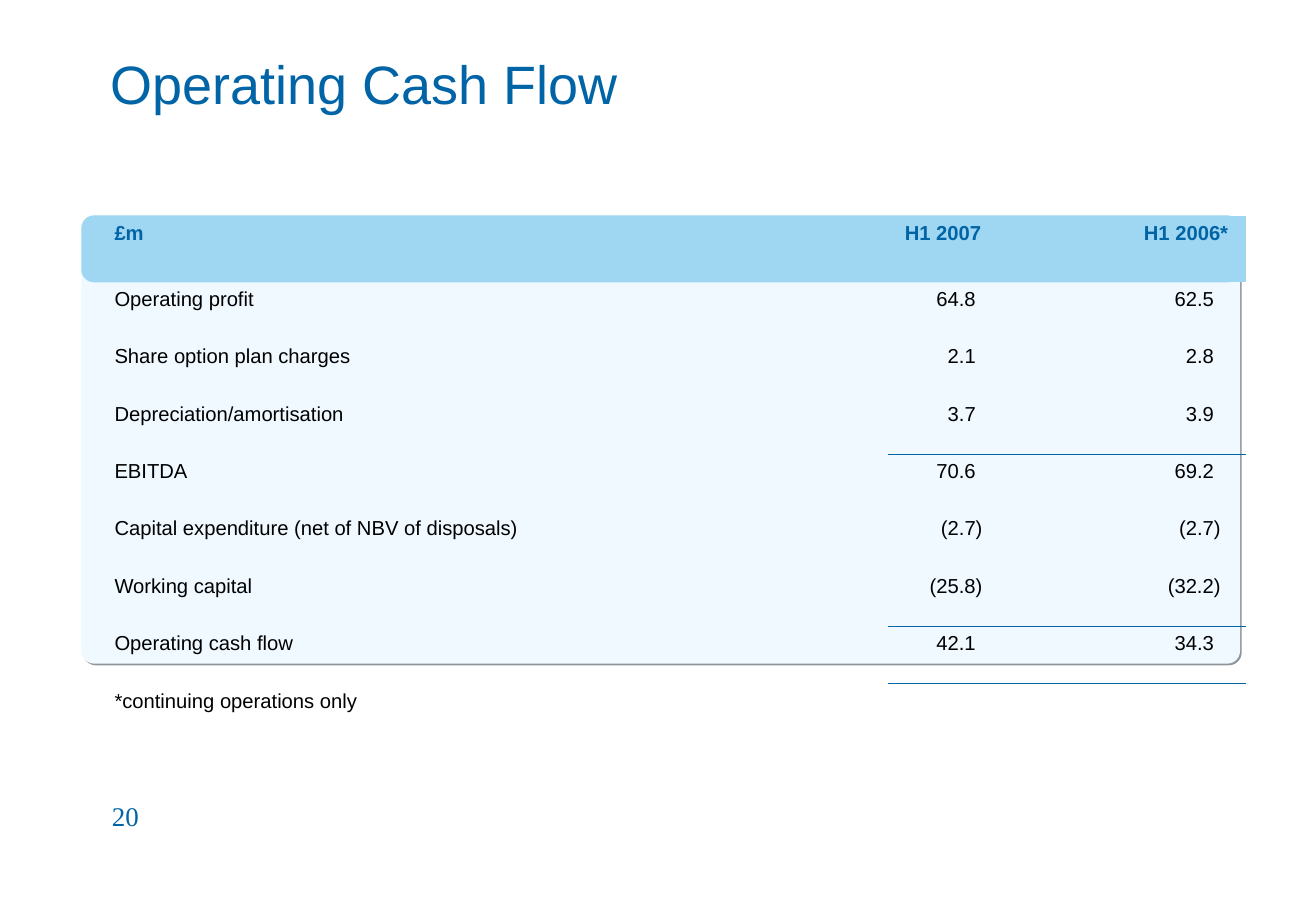
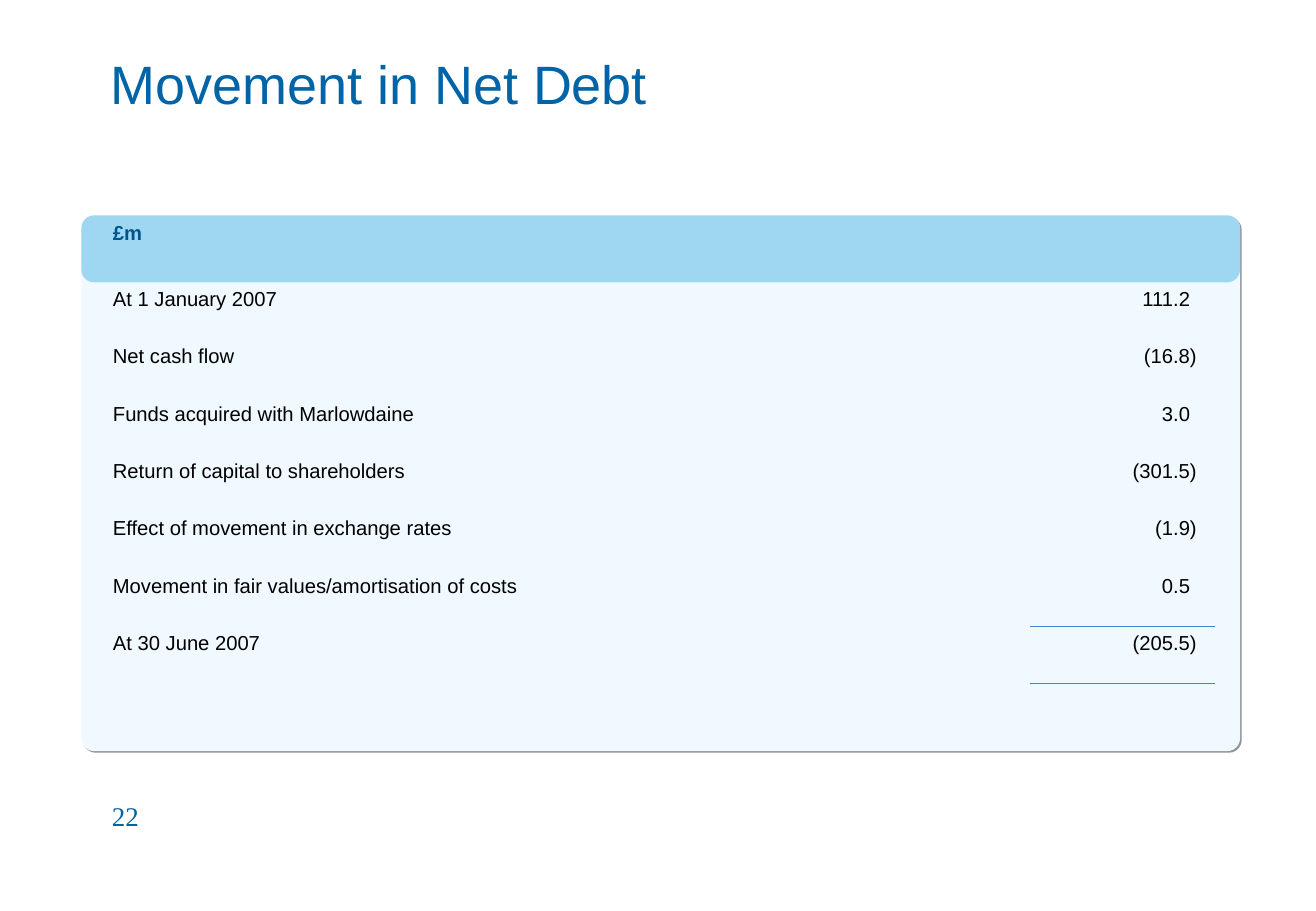
"""Build two financial table slides that share one panel, title and page number style."""
from dataclasses import dataclass

from lxml.etree import SubElement
from pptx import Presentation
from pptx.dml.color import RGBColor
from pptx.enum.shapes import MSO_SHAPE
from pptx.enum.text import MSO_ANCHOR, PP_ALIGN
from pptx.oxml import parse_xml
from pptx.oxml.ns import nsdecls, qn
from pptx.util import Emu, Inches, Pt

WIDTH, HEIGHT = Inches(10.84), Inches(7.5)
BLUE, DARK_BLUE, MID_BLUE = "0064A6", "00558E", "3F87D7"
SKY, PALE, GREY, BLACK = "9FD6F1", "EFF9FF", "8E9498", "000000"
NO_STYLE = "{2D5ABB26-0587-4C30-8999-92F81FD0307C}"
PANEL_LEFT, PANEL_TOP, PANEL_WIDTH = 6.18, 23.65, 88.05
BAND_HEIGHT, CORNER = 7.35, 1.4
TABLE_TOP, HEADER_HEIGHT, ROW_HEIGHT = 23.75, 7.2, 6.3
LABEL_SPAN = 4


@dataclass(frozen=True)
class Statement:
    title: str
    page: str
    panel_height: float
    left: float
    columns: tuple[float, ...]
    value_columns: tuple[int, ...]
    decimal_tab: float
    header_color: str
    rule_color: str
    rules: dict[int, float]
    rows: tuple[tuple[str, ...], ...]


STATEMENTS = (
    Statement(
        "Operating Cash Flow", "20", 49.2, 7.78,
        (9.41,) * LABEL_SPAN + (19.9, 1.29, 8.3, 9.8, 9.04), (6, 8), 4.43,
        BLUE, BLUE, {3: 0.45, 6: 0.45, 7: 1.08},
        (
            ("£m", "H1 2007", "H1 2006*"),
            ("Operating profit", "64.8", "62.5"),
            ("Share option plan charges", "2.1", "2.8"),
            ("Depreciation/amortisation", "3.7", "3.9"),
            ("EBITDA", "70.6", "69.2"),
            ("Capital expenditure (net of NBV of disposals)", "(2.7)", "(2.7)"),
            ("Working capital", "(25.8)", "(32.2)"),
            ("Operating cash flow", "42.1", "34.3"),
            ("*continuing operations only",),
            (),
        ),
    ),
    Statement(
        "Movement in Net Debt", "22", 58.8, 7.66, (14.12,) * 6, (5,), 9.98,
        DARK_BLUE, MID_BLUE, {6: 0.45, 7: 1.08},
        (
            ("£m",),
            ("At 1 January 2007", "111.2"),
            ("Net cash flow", "(16.8)"),
            ("Funds acquired with Marlowdaine", "3.0"),
            ("Return of capital to shareholders", "(301.5)"),
            ("Effect of movement in exchange rates", "(1.9)"),
            ("Movement in fair values/amortisation of costs", "0.5"),
            ("At 30 June 2007", "(205.5)"),
        ),
    ),
)


def rgb(color: str) -> RGBColor:
    return RGBColor.from_string(color)


def x(percent: float) -> Emu:
    return Emu(round(WIDTH * percent / 100))


def y(percent: float) -> Emu:
    return Emu(round(HEIGHT * percent / 100))


def box(left: float, top: float, width: float, height: float) -> tuple[Emu, ...]:
    return x(left), y(top), x(width), y(height)


def style(p, size: float, color: str, name: str = "Arial", bold: bool = False) -> None:
    p.font.size, p.font.name, p.font.bold = Pt(size), name, bold
    p.font.color.rgb = rgb(color)


def add_panel(slide, height: float, color: str):
    sp = slide.shapes.add_shape(
        MSO_SHAPE.ROUNDED_RECTANGLE, *box(PANEL_LEFT, PANEL_TOP, PANEL_WIDTH, height))
    sp.adjustments[0] = CORNER / height
    sp.fill.solid()
    sp.fill.fore_color.rgb = rgb(color)
    sp.line.fill.background()
    sp.shadow.inherit = False
    return sp


def add_shadow(sp) -> None:
    effects = sp.element.spPr.find(qn("a:effectLst"))
    shadow = SubElement(effects, qn("a:outerShdw"), blurRad="0", dist=str(Pt(1.4)),
                        dir=str(45 * 60000), algn="tl", rotWithShape="0")
    SubElement(shadow, qn("a:srgbClr"), val=GREY)


def add_title(slide, text: str) -> None:
    sp = slide.shapes.title
    sp.left, sp.top, sp.width, sp.height = box(7.47, 0.8, 84.96, 16.67)
    tf = sp.text_frame
    tf.text = text
    tf.vertical_anchor = MSO_ANCHOR.MIDDLE
    p = tf.paragraphs[0]
    p.alignment = PP_ALIGN.LEFT
    style(p, 32, BLUE)


def add_page_number(slide, text: str) -> None:
    tf = slide.shapes.add_textbox(*box(7.6, 87.07, 20.85, 6.67)).text_frame
    tf.word_wrap = True
    tf.text = text
    style(tf.paragraphs[0], 16, BLUE, "Times New Roman")


def set_borders(cell, color: str, top: float, bottom: float) -> None:
    tc_pr = cell._tc.get_or_add_tcPr()
    for i, (side, width) in enumerate((("lnL", 0), ("lnR", 0), ("lnT", top), ("lnB", bottom))):
        paint = (f'<a:solidFill><a:srgbClr val="{color}"/></a:solidFill>'
                 if width else "<a:noFill/>")
        tc_pr.insert(i, parse_xml(
            f'<a:{side} {nsdecls("a")} w="{Pt(width)}">{paint}</a:{side}>'))


def set_text(cell, text: str, header: bool, col: int, st: Statement) -> None:
    numeric = col > 0 and not header
    tf = cell.text_frame
    tf.text = f"\t{text}" if numeric else text
    p = tf.paragraphs[0]
    p.space_before = Pt(3)
    if numeric:
        tabs = SubElement(p._p.get_or_add_pPr(), qn("a:tabLst"))
        SubElement(tabs, qn("a:tab"), pos=str(x(st.decimal_tab)), algn="dec")
    elif col:
        p.alignment = PP_ALIGN.CENTER
    style(p, 12, st.header_color if header else BLACK, bold=header)


def format_cell(cell, row: int, col: int, st: Statement) -> None:
    if row == 0:
        cell.fill.solid()
        cell.fill.fore_color.rgb = rgb(SKY)
    else:
        cell.fill.background()
    rules = st.rules if col >= st.value_columns[0] else {}
    set_borders(cell, st.rule_color, rules.get(row - 1, 0), rules.get(row, 0))


def add_statement_table(slide, st: Statement) -> None:
    heights = [HEADER_HEIGHT] + [ROW_HEIGHT] * (len(st.rows) - 1)
    frame = slide.shapes.add_table(
        len(st.rows), len(st.columns),
        *box(st.left, TABLE_TOP, sum(st.columns), sum(heights)))
    next(frame.element.iter(qn("a:tableStyleId"))).text = NO_STYLE
    table = frame.table
    for column, width in zip(table.columns, st.columns):
        column.width = x(width)
    for row, height in zip(table.rows, heights):
        row.height = y(height)
    for i, texts in enumerate(st.rows):
        for j in range(len(st.columns)):
            format_cell(table.cell(i, j), i, j, st)
        if i and texts:
            table.cell(i, 0).merge(table.cell(i, LABEL_SPAN - 1))
        for j, text in zip((0, *st.value_columns), texts):
            set_text(table.cell(i, j), text, i == 0, j, st)


def add_statement(prs, st: Statement) -> None:
    slide = prs.slides.add_slide(prs.slide_layouts[5])
    add_shadow(add_panel(slide, st.panel_height, PALE))
    add_panel(slide, BAND_HEIGHT, SKY)
    add_title(slide, st.title)
    add_statement_table(slide, st)
    add_page_number(slide, st.page)


def main() -> None:
    prs = Presentation()
    prs.slide_width, prs.slide_height = WIDTH, HEIGHT
    for st in STATEMENTS:
        add_statement(prs, st)
    prs.save("out.pptx")


if __name__ == "__main__":
    main()
